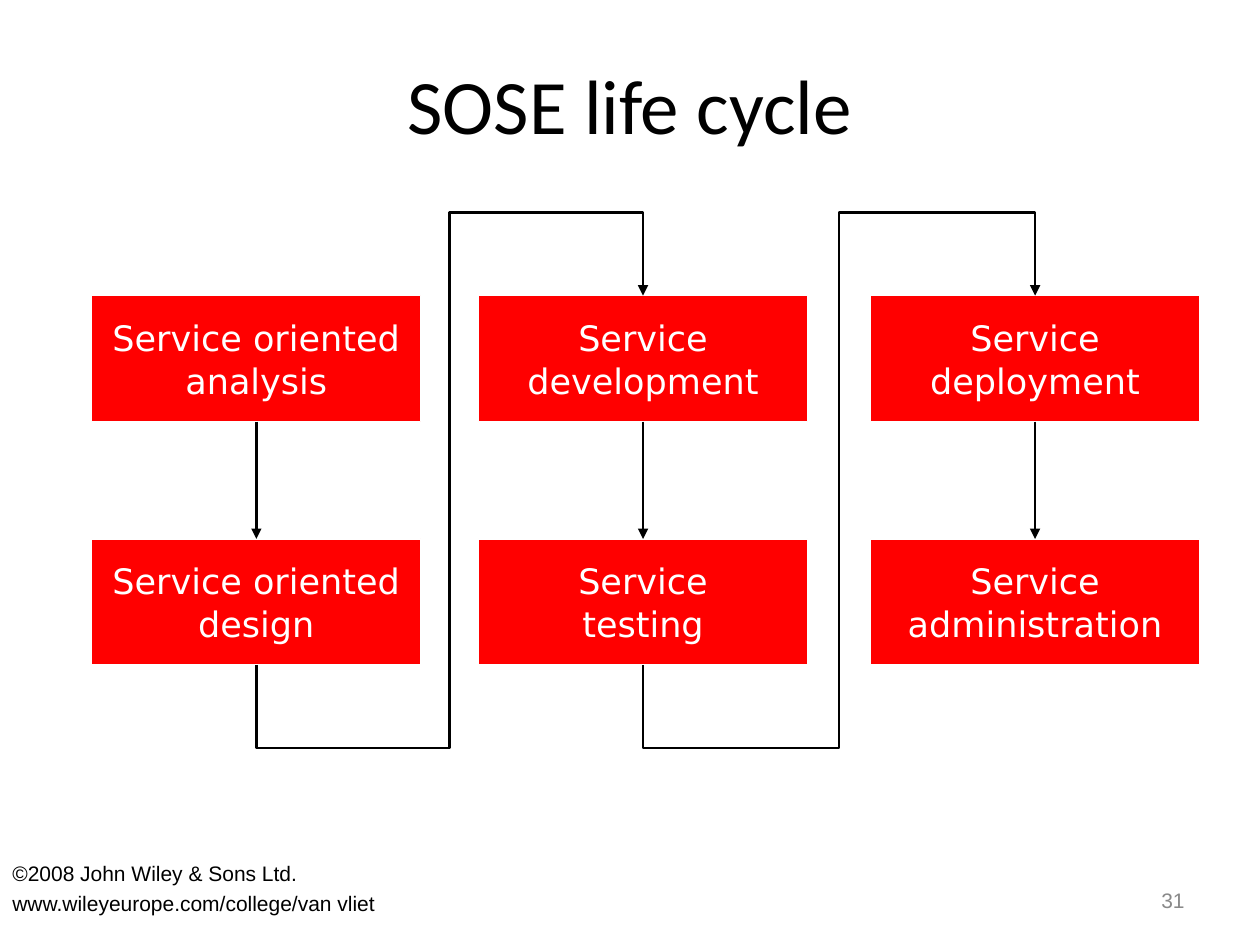
from dataclasses import dataclass
from lxml.etree import SubElement
from pptx import Presentation
from pptx.dml.color import RGBColor
from pptx.enum.shapes import MSO_CONNECTOR, MSO_SHAPE
from pptx.enum.text import MSO_ANCHOR, PP_ALIGN
from pptx.oxml.ns import qn
from pptx.util import Pt

STRAIGHT, ELBOW = MSO_CONNECTOR.STRAIGHT, MSO_CONNECTOR.ELBOW
RECT = MSO_SHAPE.RECTANGLE
TOP, MIDDLE = MSO_ANCHOR.TOP, MSO_ANCHOR.MIDDLE
LEFT, CENTER, RIGHT = PP_ALIGN.LEFT, PP_ALIGN.CENTER, PP_ALIGN.RIGHT


@dataclass(frozen=True)
class Theme:
    """Colours, fonts and sizes of the slide."""
    ink: RGBColor = RGBColor(0, 0, 0)
    paper: RGBColor = RGBColor(255, 255, 255)
    red: RGBColor = RGBColor(255, 0, 0)
    gray: RGBColor = RGBColor(0x89, 0x89, 0x89)
    head: str = "Calibri"
    step: str = "DejaVu Sans"
    foot: str = "Arial"
    big: Pt = Pt(44)
    mid: Pt = Pt(20)
    small: Pt = Pt(12)
    thin: Pt = Pt(0.75)
    line: Pt = Pt(1.5)


THEME = Theme()
STEPS = [
    [["Service oriented", "analysis"], ["Service oriented", "design"]],
    [["Service", "development"], ["Service", "testing"]],
    [["Service", "deployment"], ["Service", "administration"]],
]


def apply(obj, vals):
    """Set each attribute named in a dict."""
    for key, val in vals.items():
        setattr(obj, key, val)


def write(shape, lines, font, color, para, anchor=MIDDLE, wrap=True, gap=0):
    """Fill a shape with one paragraph for each line."""
    frame = shape.text_frame
    apply(frame, {"word_wrap": wrap, "vertical_anchor": anchor})
    for num, line in enumerate(lines):
        item = frame.add_paragraph() if num else frame.paragraphs[0]
        item.text = line
        apply(item, para)
        if num:
            item.space_before = Pt(gap)
        apply(item.font, font)
        item.font.color.rgb = color


def add_text(slide, box, *args, **opts):
    """Place a text box in the given box."""
    shape = slide.shapes.add_textbox(*map(Pt, box))
    write(shape, *args, **opts)


def add_step(slide, box, lines):
    """Place one red step of the cycle."""
    shape = slide.shapes.add_shape(RECT, *map(Pt, box))
    shape.shadow.inherit = False
    shape.fill.solid()
    shape.fill.fore_color.rgb = THEME.red
    shape.line.color.rgb = THEME.paper
    shape.line.width = THEME.thin
    write(shape, lines, {"name": THEME.step, "size": THEME.mid}, THEME.paper,
          {"alignment": CENTER, "line_spacing": 1.02}, wrap=False)
    return shape


def add_arrow(slide, kind, *ends):
    """Draw a black connector with a head at its end."""
    arrow = slide.shapes.add_connector(kind, *map(int, ends))
    arrow.line.color.rgb = THEME.ink
    arrow.line.width = THEME.line
    SubElement(arrow.line._get_or_add_ln(), qn("a:tailEnd"), type="triangle")
    SubElement(arrow._element.spPr, qn("a:effectLst"))
    return arrow


def add_down(slide, start, end):
    """Join a step to the one below it."""
    arrow = add_arrow(slide, STRAIGHT, 0, 0, 0, 0)
    arrow.begin_connect(start, 2)
    arrow.end_connect(end, 0)


def add_loop(slide, start, end, drop):
    """Lead from under one step, up between columns, to the top of another."""
    left, low = start.left + start.width / 2, start.top + start.height
    right, high = end.left + end.width / 2, end.top
    mid_x, mid_y = (left + right) / 2, (low + high) / 2
    half_w, half_h = (low - high) / 2, (right - left) / 2
    arrow = add_arrow(slide, ELBOW, mid_x + half_w, mid_y + half_h,
                      mid_x - half_w, mid_y - half_h)
    props = arrow._element.spPr
    props.find(qn("a:xfrm")).set("rot", str(90 * 60000))
    geom = props.find(qn("a:prstGeom"))
    geom.set("prst", "bentConnector5")
    guides = geom.find(qn("a:avLst"))
    part = round(100000 * drop / (low - high))
    for num, val in enumerate((-part, 50000, 100000 + part), 1):
        SubElement(guides, qn("a:gd"), name=f"adj{num}", fmla=f"val {val}")


def add_cycle(slide, box):
    """Place the three columns of steps and their arrows."""
    left, top, width, height = box
    wide, tall = 188, 72
    shifts = (0, 221, width - wide)
    cols = [[add_step(slide, (left + shift, y, wide, tall), lines)
             for y, lines in zip((top, top + height - tall), col)]
            for shift, col in zip(shifts, STEPS)]
    for upper, lower in cols:
        add_down(slide, upper, lower)
    for col, after in zip(cols, cols[1:]):
        add_loop(slide, col[1], after[0], Pt(47.5))


def add_footer(slide, box):
    """Place the copyright lines and the slide number."""
    left, top, width, height = box
    font = {"name": THEME.foot, "size": THEME.small}
    add_text(slide, (left, top, 474, height),
             ["©2008 John Wiley & Sons Ltd.",
              "www.wileyeurope.com/college/van vliet"],
             font, THEME.ink, {"alignment": LEFT}, anchor=TOP, gap=3)
    add_text(slide, (left + width - 204, top + 12, 168, 29), ["31"],
             font, THEME.gray, {"alignment": RIGHT})


def main():
    """Build and save the slide."""
    deck = Presentation()
    apply(deck, {"slide_width": Pt(720), "slide_height": Pt(540)})
    slide = deck.slides.add_slide(deck.slide_layouts[6])
    add_text(slide, (36, 14, 648, 90), ["SOSE life cycle"],
             {"name": THEME.head, "size": THEME.big}, THEME.ink,
             {"alignment": CENTER})
    add_cycle(slide, (52.5, 169, 633, 211))
    add_footer(slide, (0, 488, 720, 52))
    deck.save("out.pptx")


if __name__ == "__main__":
    main()
